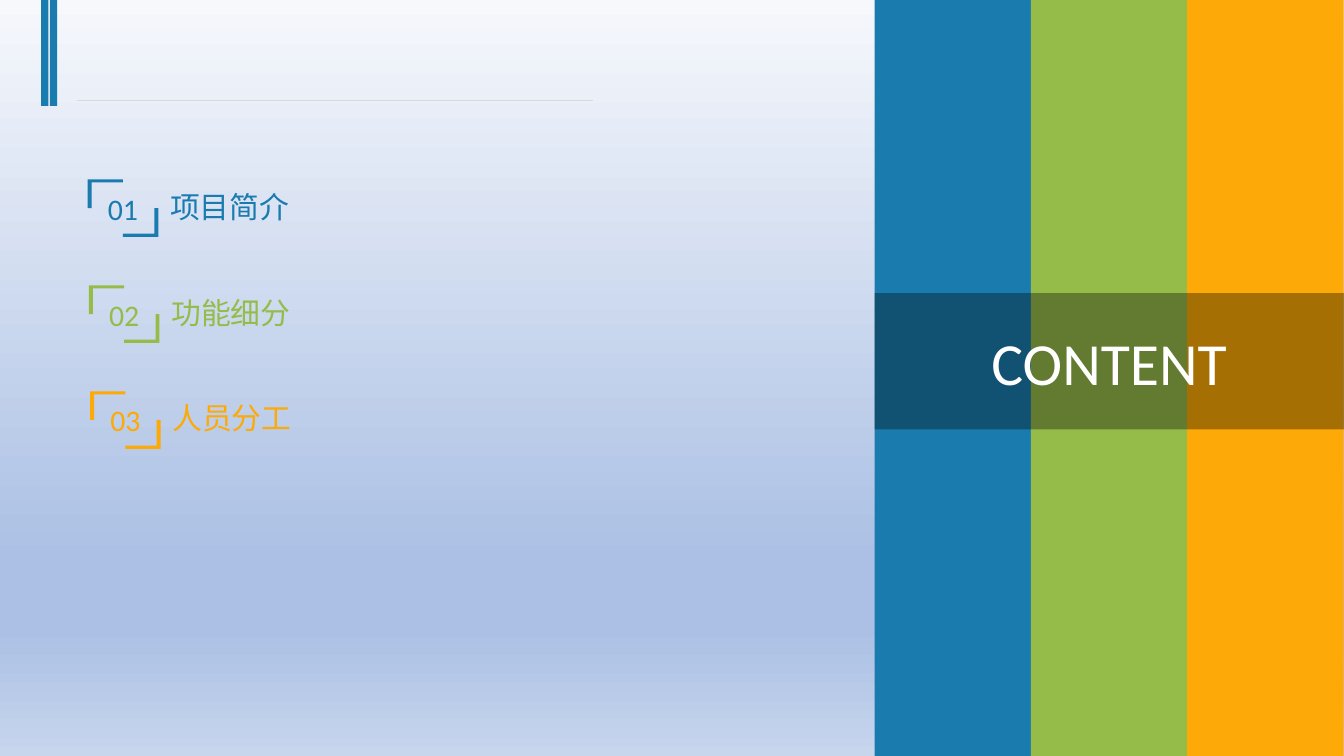
from copy import deepcopy

from lxml import etree
from pptx import Presentation
from pptx.dml.color import RGBColor
from pptx.enum.shapes import MSO_CONNECTOR, MSO_SHAPE
from pptx.enum.text import MSO_ANCHOR, MSO_AUTO_SIZE, PP_ALIGN
from pptx.oxml.ns import qn
from pptx.util import Cm, Pt

RECTANGLE = MSO_SHAPE.RECTANGLE
STRAIGHT = MSO_CONNECTOR.STRAIGHT
MIDDLE = MSO_ANCHOR.MIDDLE
GROW = MSO_AUTO_SIZE.SHAPE_TO_FIT_TEXT
LEFT, CENTER = PP_ALIGN.LEFT, PP_ALIGN.CENTER

COLORS = {
    "blue": "1A7BAE",
    "green": "95BC49",
    "orange": "FDA907",
    "rule": "D9D9D9",
    "black": "000000",
    "white": "FFFFFF",
    "sky_top": "F6F8FC",
    "sky_deep": "ABC0E4",
    "sky_bottom": "C7D5ED",
}
PAGE_WIDTH, PAGE_HEIGHT = 33.87, 19.05
ITEM_SIZE, TITLE_SIZE = 21.3, 42.7


class SlideBuilder:
    font = "Calibri"

    def __init__(self, page):
        self.page = page

    def color(self, name):
        return RGBColor.from_string(COLORS[name])

    def background(self, stops):
        fill = self.page.background.fill
        fill.gradient()
        fill.gradient_angle = 270
        stop_list = self.page.element.find(".//" + qn("a:gsLst"))
        for _ in range(len(stops) - len(stop_list)):
            stop_list.append(deepcopy(stop_list[0]))
        for stop, (position, name) in zip(fill.gradient_stops, stops):
            stop.position = position
            stop.color.rgb = self.color(name)

    def paint(self, shape, name):
        shape.shadow.inherit = False
        shape.fill.solid()
        shape.fill.fore_color.rgb = self.color(name)
        shape.line.fill.background()

    def set_text(self, shape, text, size, name, align):
        frame = shape.text_frame
        frame.text = text
        frame.word_wrap = True
        para = frame.paragraphs[0]
        para.alignment = align
        font = para.runs[0].font
        font.name = self.font
        font.size = Pt(size)
        font.color.rgb = self.color(name)

    def bar(self, left, top, width, height, name, alpha=None):
        box = self.page.shapes.add_shape(
            RECTANGLE, Cm(left), Cm(top), Cm(width), Cm(height))
        self.paint(box, name)
        if alpha is not None:
            tint = box.element.spPr.find(".//" + qn("a:srgbClr"))
            etree.SubElement(tint, qn("a:alpha")).set("val", str(alpha * 1000))
        return box

    def rule(self, left, right, top, name, width):
        line = self.page.shapes.add_connector(
            STRAIGHT, Cm(left), Cm(top), Cm(right), Cm(top))
        line.line.color.rgb = self.color(name)
        line.line.width = Pt(width)
        etree.SubElement(line.element.spPr, qn("a:effectLst"))

    def label(self, left, top, width, height, text, name):
        box = self.page.shapes.add_textbox(
            Cm(left), Cm(top), Cm(width), Cm(height))
        self.set_text(box, text, ITEM_SIZE, name, LEFT)
        box.text_frame.auto_size = GROW

    def brackets(self, left, top, text, name):
        width, height, thick_x, thick_y = 1.78, 1.45, 0.1, 0.08
        half_x, half_y = width / 2, height / 2
        corner = [(0, 0), (half_x, 0), (half_x, thick_y),
                  (thick_x, thick_y), (thick_x, half_y), (0, half_y)]
        opposite = [(width - x, height - y) for x, y in corner]
        first, second = (
            [(Cm(left + x), Cm(top + y)) for x, y in outline]
            for outline in (corner, opposite))
        builder = self.page.shapes.build_freeform(*first[0], scale=1.0)
        builder.add_line_segments(first[1:], close=True)
        builder.move_to(*second[0])
        builder.add_line_segments(second[1:], close=True)
        shape = builder.convert_to_shape()
        self.paint(shape, name)
        self.set_text(shape, text, ITEM_SIZE, name, CENTER)
        shape.text_frame.vertical_anchor = MIDDLE


def main():
    deck = Presentation()
    deck.slide_width, deck.slide_height = Cm(PAGE_WIDTH), Cm(PAGE_HEIGHT)
    builder = SlideBuilder(deck.slides.add_slide(deck.slide_layouts[6]))
    builder.background([(0, "sky_top"), (0.74, "sky_deep"),
                        (0.83, "sky_deep"), (1, "sky_bottom")])

    for left in (1.04, 1.26):
        builder.bar(left, 0, 0.18, 2.67, "blue")
    builder.rule(1.94, 14.94, 2.52, "rule", 0.5)

    accents = ("blue", "green", "orange")
    topics = ("项目简介", "功能细分", "人员分工")
    for index, (topic, accent) in enumerate(zip(topics, accents)):
        left, top = 2.21 + 0.03 * index, 4.52 + 2.67 * index
        builder.label(left + 1.83, top + 0.1, 13.49, 1.17, topic, accent)
        builder.brackets(left, top, f"{index + 1:02}", accent)

    stripe_left, stripe_width = 22.04, 3.94
    for index, accent in enumerate(accents):
        builder.bar(stripe_left + stripe_width * index, 0,
                    stripe_width, PAGE_HEIGHT, accent)
    band = builder.bar(stripe_left, 7.39, PAGE_WIDTH - stripe_left, 3.43,
                       "black", alpha=34)
    builder.set_text(band, "CONTENT", TITLE_SIZE, "white", CENTER)
    band.text_frame.vertical_anchor = MIDDLE

    deck.save("out.pptx")


if __name__ == "__main__":
    main()
